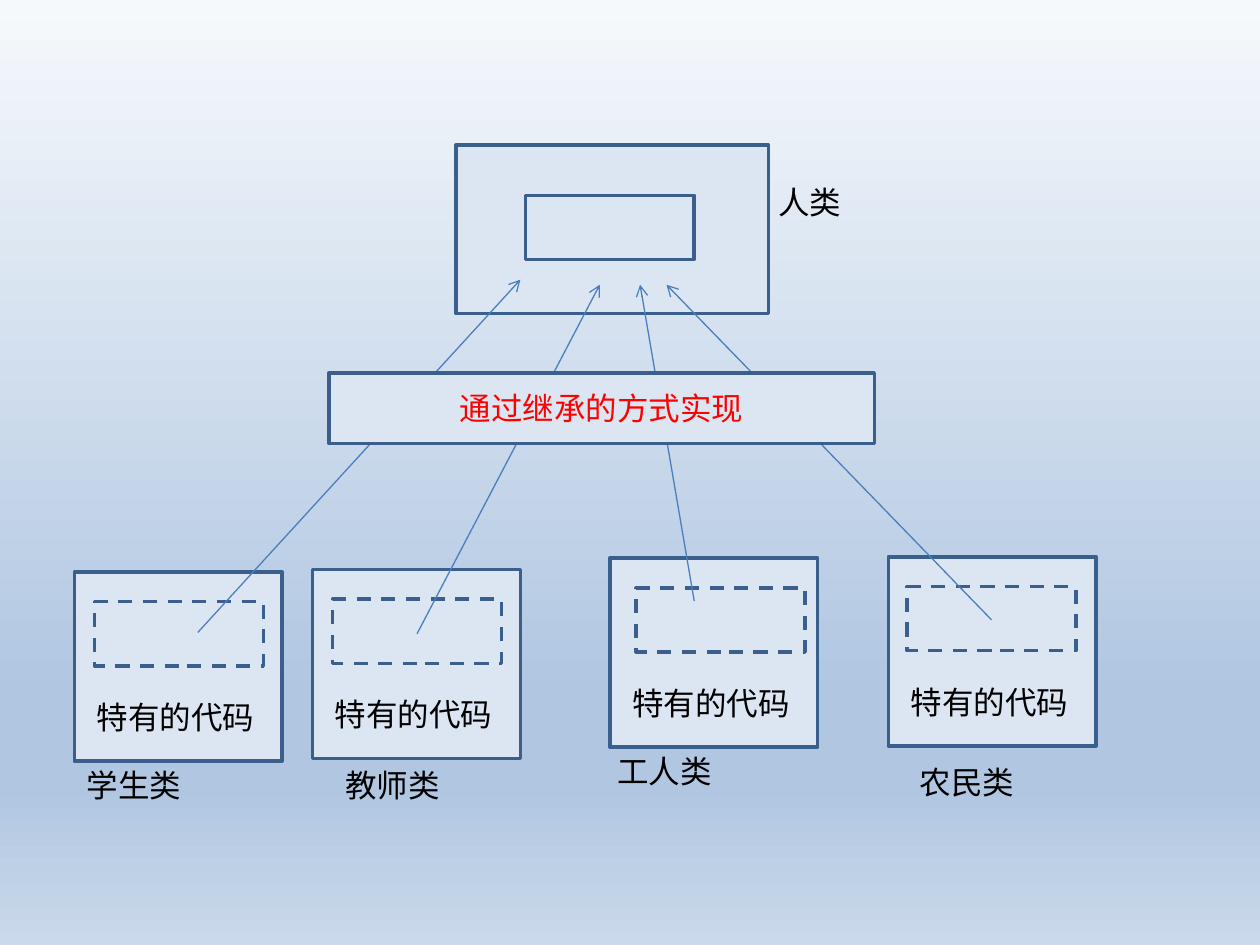
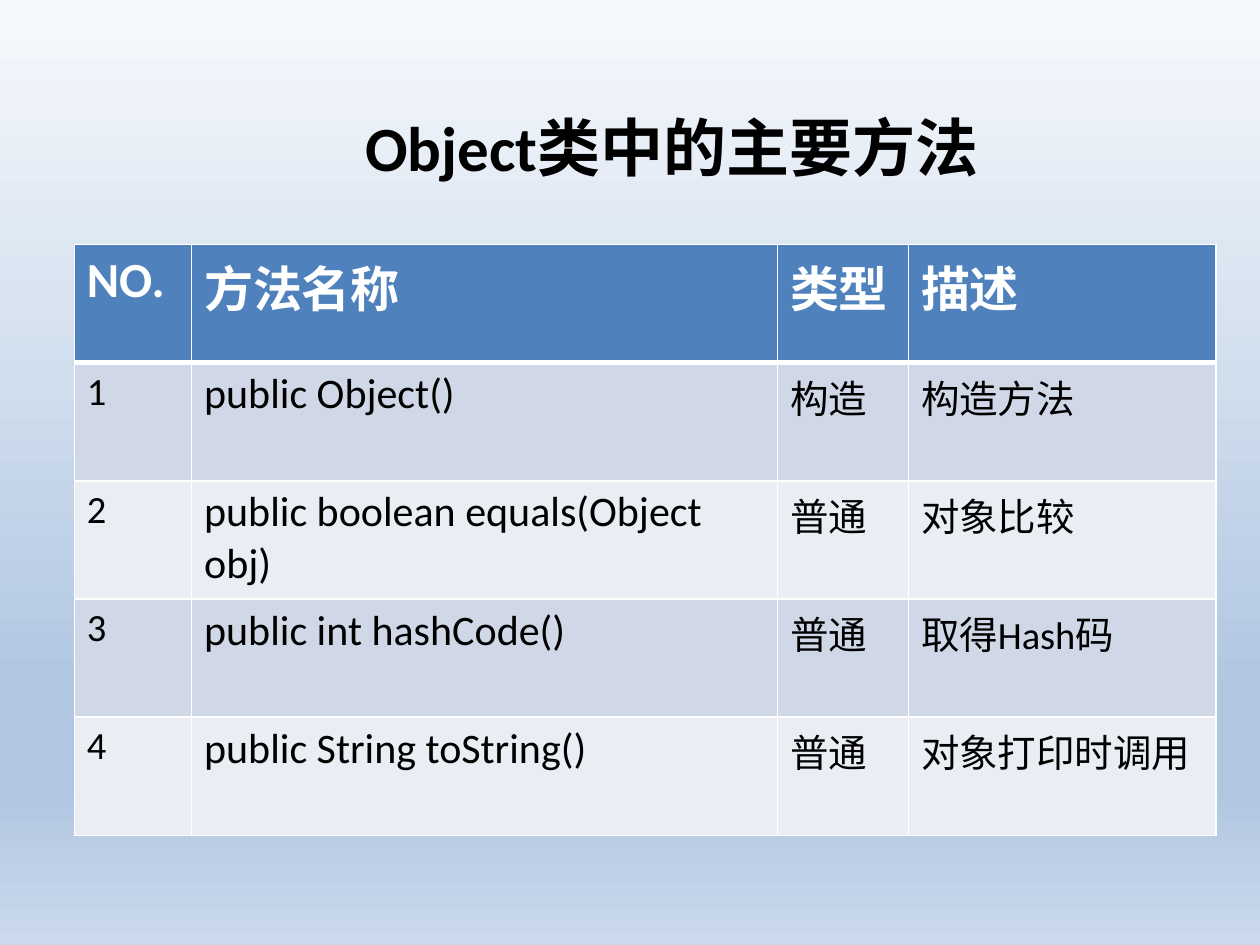
"""Build two slides on class inheritance and the methods of Object."""
from lxml.etree import SubElement
from pptx import Presentation
from pptx.dml.color import RGBColor
from pptx.enum.dml import MSO_LINE
from pptx.enum.shapes import MSO_CONNECTOR, MSO_SHAPE
from pptx.enum.text import MSO_ANCHOR, MSO_AUTO_SIZE, PP_ALIGN
from pptx.oxml.ns import qn
from pptx.util import Inches, Pt

RECT, LINE, DASH = MSO_SHAPE.RECTANGLE, MSO_CONNECTOR.STRAIGHT, MSO_LINE.DASH
MIDDLE, CENTER, GROW = MSO_ANCHOR.MIDDLE, PP_ALIGN.CENTER, MSO_AUTO_SIZE.SHAPE_TO_FIT_TEXT

FONT = "Calibri"
BLACK = RGBColor(0x00, 0x00, 0x00)
WHITE = RGBColor(0xFF, 0xFF, 0xFF)
RED = RGBColor(0xFF, 0x00, 0x00)
PALE = RGBColor(0xDC, 0xE6, 0xF2)
EDGE = RGBColor(0x3A, 0x5F, 0x8C)
ARROW = RGBColor(0x4B, 0x7E, 0xBC)
HEAD = RGBColor(0x4F, 0x81, 0xBD)
BANDS = (RGBColor(0xD0, 0xD8, 0xE8), RGBColor(0xE9, 0xED, 0xF4))
SKY = ((0, "F6F9FC"), (74, "B0C6E1"), (83, "B0C6E1"), (100, "CAD9EB"))

PARENT = "人类"
BRIDGE = "通过继承的方式实现"
OWN = "特有的代码"
# Each child: name, box corner, dashed box left, name corner, arrow ends.
CHILDREN = [
    ("学生类", (0.59, 4.54), 0.75, (0.59, 6.03), (1.57, 5.02), (4.13, 2.22)),
    ("教师类", (2.48, 4.52), 2.64, (2.64, 6.03), (3.31, 5.03), (4.76, 2.26)),
    ("工人类", (4.84, 4.43), 5.05, (4.8, 5.92), (5.51, 4.77), (5.08, 2.26)),
    ("农民类", (7.05, 4.42), 7.2, (7.2, 6.01), (7.87, 4.92), (5.29, 2.26)),
]
TITLE = "Object类中的主要方法"
METHODS = [
    ("NO.", "方法名称", "类型", "描述"),
    ("1", "public Object()", "构造", "构造方法"),
    ("2", "public boolean equals(Object obj)", "普通", "对象比较"),
    ("3", "public int hashCode()", "普通", "取得Hash码"),
    ("4", "public String toString()", "普通", "对象打印时调用"),
]
WIDTHS = (0.93, 4.65, 1.04, 2.44)
SIZES = (22, 24, 22, 22)


def style(para, size, color, bold=False):
    para.font.name, para.font.size = FONT, Pt(size)
    para.font.color.rgb, para.font.bold = color, bold


def new_slide(deck):
    slide = deck.slides.add_slide(deck.slide_layouts[6])
    fill = slide.background.fill
    fill.gradient()
    fill.gradient_angle = 270
    stops = next(slide.element.iter(qn("a:gsLst")))
    for old in list(stops):
        stops.remove(old)
    for pos, color in SKY:
        stop = SubElement(stops, qn("a:gs"), pos=str(pos * 1000))
        SubElement(stop, qn("a:srgbClr"), val=color)
    return slide


def add_box(slide, x, y, w, h, dash=None):
    box = slide.shapes.add_shape(RECT, Inches(x), Inches(y), Inches(w), Inches(h))
    box.shadow.inherit = False
    box.fill.solid()
    box.fill.fore_color.rgb = PALE
    box.line.color.rgb, box.line.width = EDGE, Pt(2)
    if dash:
        box.line.dash_style = dash
    return box


def add_text(slide, text, x, y, w, h=0.4, size=18, bold=False):
    frame = slide.shapes.add_textbox(Inches(x), Inches(y), Inches(w), Inches(h)).text_frame
    frame.word_wrap, frame.auto_size = True, GROW
    frame.text = text
    style(frame.paragraphs[0], size, BLACK, bold)


def add_arrow(slide, start, end):
    line = slide.shapes.add_connector(LINE, *map(Inches, start + end))
    line.line.color.rgb, line.line.width = ARROW, Pt(0.75)
    SubElement(line.line._get_or_add_ln(), qn("a:tailEnd"), type="arrow")
    SubElement(line._element.spPr, qn("a:effectLst"))


def add_border(cell, side, width):
    props = cell._tc.get_or_add_tcPr()
    edge = SubElement(props, qn("a:ln" + side), w=str(Pt(width)))
    SubElement(SubElement(edge, qn("a:solidFill")), qn("a:srgbClr"), val=str(WHITE))


def draw_tree(slide):
    add_box(slide, 3.62, 1.15, 2.48, 1.34)
    for name, (x, y), inner, spot, start, end in CHILDREN:
        add_box(slide, x, y, 1.65, 1.5)
        add_box(slide, inner, y + 0.235, 1.34, 0.51, DASH)
        add_text(slide, OWN, x + 0.08, y + 0.95, 1.5)
        add_text(slide, name, *spot, 1.97)
        add_arrow(slide, start, end)
    add_box(slide, 4.17, 1.55, 1.34, 0.51)
    add_text(slide, PARENT, 6.08, 1.4, 1.77)
    frame = add_box(slide, 2.61, 2.96, 4.33, 0.56).text_frame
    frame.text, frame.vertical_anchor, frame.word_wrap = BRIDGE, MIDDLE, True
    frame.paragraphs[0].alignment = CENTER
    style(frame.paragraphs[0], 18, RED)


def draw_table(slide):
    add_text(slide, TITLE, 2.8, 0.81, 5.67, 0.71, 36, True)
    table = slide.shapes.add_table(len(METHODS), len(WIDTHS), Inches(0.59), Inches(1.94),
                                   Inches(sum(WIDTHS)), Inches(4.69)).table
    for col, width in zip(table.columns, WIDTHS):
        col.width = Inches(width)
    for r, row in enumerate(METHODS):
        top = r == 0
        for c, text in enumerate(row):
            cell = table.cell(r, c)
            cell.text = text
            style(cell.text_frame.paragraphs[0], 28 if top else SIZES[c],
                  WHITE if top else BLACK, top)
            for side, width in (("L", 1), ("R", 1), ("T", 3 if r == 1 else 1), ("B", 3 if top else 1)):
                add_border(cell, side, width)
            cell.fill.solid()
            cell.fill.fore_color.rgb = HEAD if top else BANDS[(r - 1) % 2]


def main():
    deck = Presentation()
    deck.slide_width, deck.slide_height = Inches(10), Inches(7.5)
    draw_tree(new_slide(deck))
    draw_table(new_slide(deck))
    deck.save("out.pptx")


if __name__ == "__main__":
    main()
